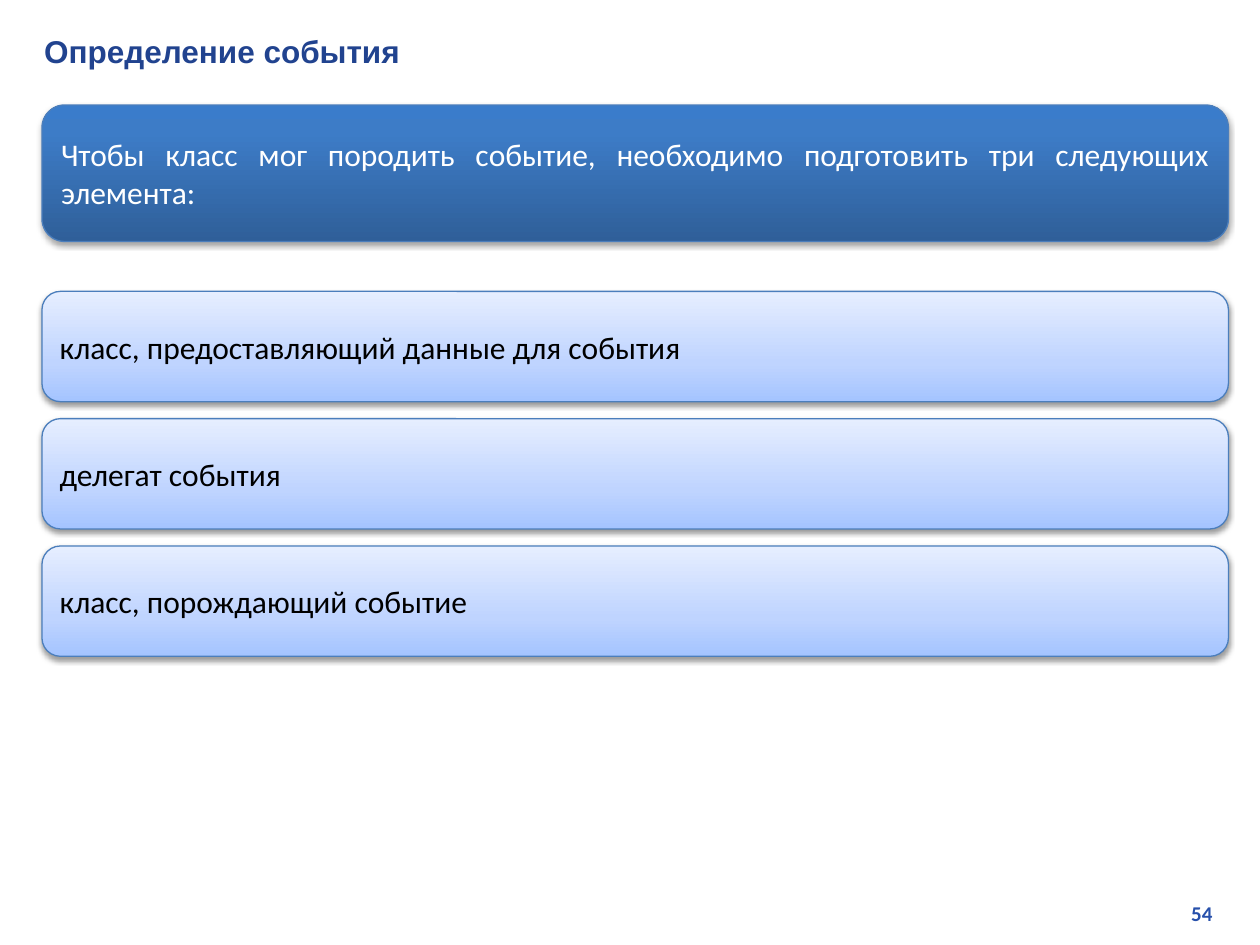
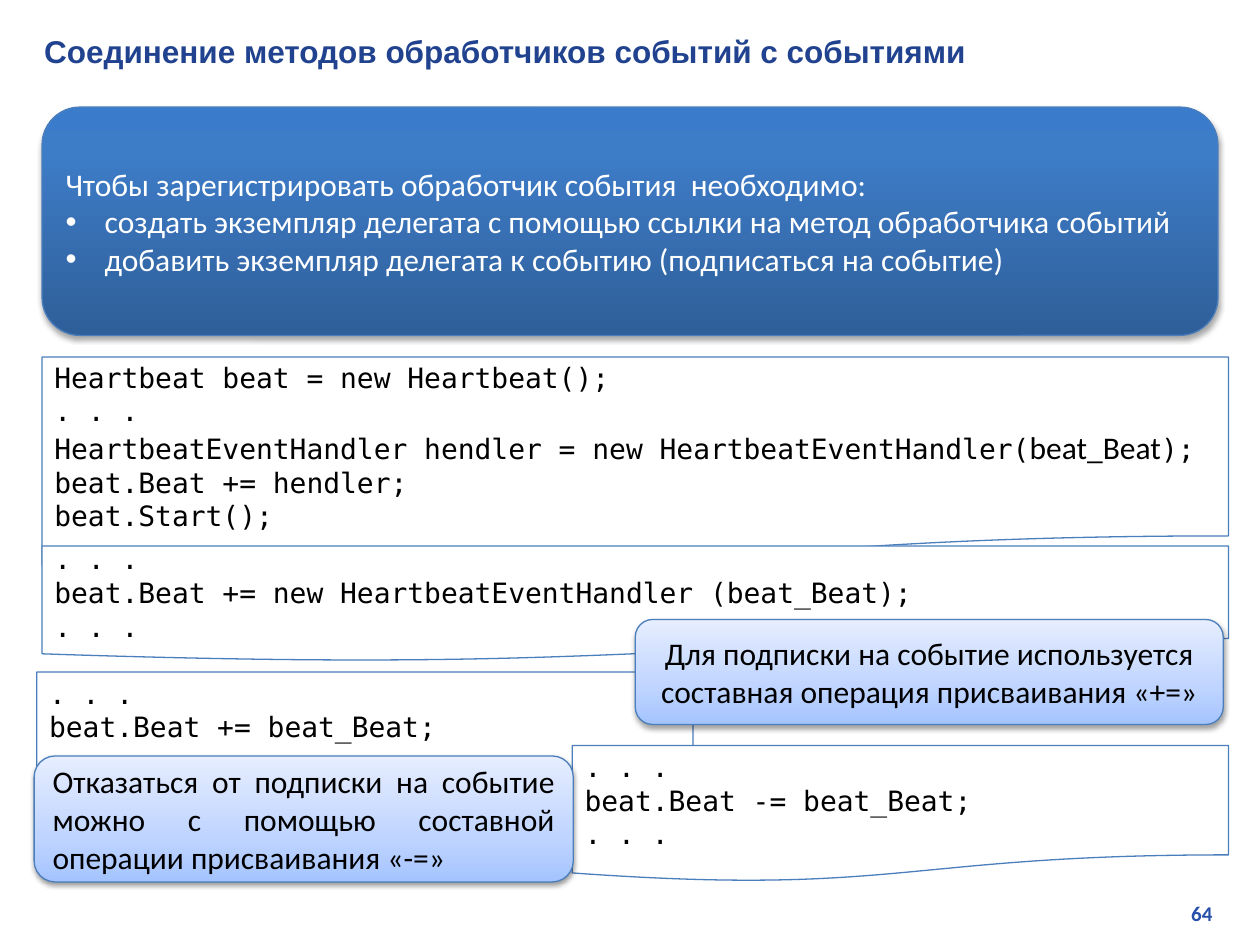
from lxml.etree import SubElement
from pptx import Presentation
from pptx.dml.color import RGBColor
from pptx.enum.shapes import MSO_SHAPE
from pptx.enum.text import MSO_ANCHOR, MSO_AUTO_SIZE, PP_ALIGN
from pptx.oxml import parse_xml
from pptx.oxml.ns import nsdecls, qn
from pptx.util import Inches, Pt

# Colours and fonts
TITLE_BLUE = RGBColor(0x21, 0x43, 0x8F)
NUMBER_BLUE = RGBColor(0x27, 0x50, 0xAB)
LINE_BLUE = RGBColor(0x4B, 0x7E, 0xBC)
WHITE = RGBColor(0xFF, 0xFF, 0xFF)
BLACK = RGBColor(0, 0, 0)
DARK_STOPS = [(0, RGBColor(0x2F, 0x5F, 0x99)), (80, RGBColor(0x3D, 0x7C, 0xC7)),
              (100, RGBColor(0x3A, 0x7C, 0xCB))]
LIGHT_STOPS = [(0, RGBColor(0xA4, 0xC4, 0xFF)), (35, RGBColor(0xBF, 0xD4, 0xFF)),
               (100, RGBColor(0xE6, 0xEE, 0xFF))]
TEXT_FONT, CODE_FONT, TITLE_FONT = "Calibri", "DejaVu Sans Mono", "Arial"

# Looks: shape, gradient, shadow (opacity %, distance pt), font, size, colour
DARK = (MSO_SHAPE.ROUNDED_RECTANGLE, DARK_STOPS, (35, 1.8), TEXT_FONT, 18, WHITE)
LIGHT = (MSO_SHAPE.ROUNDED_RECTANGLE, LIGHT_STOPS, (38, 1.6), TEXT_FONT, 18, BLACK)
CODE = (MSO_SHAPE.FLOWCHART_DOCUMENT, None, None, CODE_FONT, 16, BLACK)

prs = Presentation()
prs.slide_width, prs.slide_height = Inches(10), Inches(7.5)
CELL = prs.slide_width / 240  # grid of 240 columns by 180 rows
LEFT, WIDE = 8, 226


def grid(*cells):
    return [round(c * CELL) for c in cells]


def add_box(slide, look, cells, lines, align=PP_ALIGN.JUSTIFY):
    """Pieces of a line between bars are set in the text font at 18 pt."""
    kind, stops, shadow, font, size, color = look
    sp = slide.shapes.add_shape(kind, *grid(*cells))
    sp.line.color.rgb, sp.line.width = LINE_BLUE, Pt(0.75)
    sp.shadow.inherit = False
    if stops:
        gs = "".join(f'<a:gs pos="{pos * 1000}"><a:srgbClr val="{rgb}"/></a:gs>'
                     for pos, rgb in stops)
        sp.fill.background()
        no_fill = sp._element.spPr.find(qn("a:noFill"))
        no_fill.getparent().replace(no_fill, parse_xml(
            f'<a:gradFill {nsdecls("a")} rotWithShape="1"><a:gsLst>{gs}</a:gsLst>'
            '<a:lin ang="16200000" scaled="0"/></a:gradFill>'))
        opacity, distance = shadow
        sp._element.spPr.find(qn("a:effectLst")).append(parse_xml(
            f'<a:outerShdw {nsdecls("a")} blurRad="{Pt(3.1)}" dist="{Pt(distance)}" '
            'dir="5400000" rotWithShape="0"><a:srgbClr val="000000">'
            f'<a:alpha val="{opacity * 1000}"/></a:srgbClr></a:outerShdw>'))
    else:
        sp.fill.solid()
        sp.fill.fore_color.rgb = WHITE
    tf = sp.text_frame
    tf.word_wrap, tf.vertical_anchor = True, MSO_ANCHOR.MIDDLE
    for i, line in enumerate(lines):
        p = tf.add_paragraph() if i else tf.paragraphs[0]
        p.alignment = align
        for j, piece in enumerate(line.split("|")):
            r = p.add_run()
            r.text = piece
            r.font.name = TEXT_FONT if j % 2 else font
            r.font.size = Pt(18 if j % 2 else size)
            r.font.color.rgb = color
    return sp


# Titles and page numbers
slides = []
for title, number in [("Определение события", "54"),
                      ("Соединение методов обработчиков событий с событиями", "64")]:
    s = prs.slides.add_slide(prs.slide_layouts[5])
    heading = s.shapes.title
    heading.left, heading.top, heading.width, heading.height = grid(6, 4.8, 229, 9.6)
    footer = s.shapes.add_textbox(*grid(182.4, 170.4, 50.9, 7.2))
    for sp, text, font, size, color, align in [
            (heading, title, TITLE_FONT, 18, TITLE_BLUE, PP_ALIGN.LEFT),
            (footer, number, TEXT_FONT, 12, NUMBER_BLUE, PP_ALIGN.RIGHT)]:
        tf = sp.text_frame
        tf.text = text
        tf.word_wrap, tf.auto_size = True, MSO_AUTO_SIZE.NONE
        p = tf.paragraphs[0]
        p.alignment = align
        f = p.runs[0].font
        f.name, f.size, f.bold, f.color.rgb = font, Pt(size), True, color
    heading.text_frame.vertical_anchor = MSO_ANCHOR.MIDDLE
    slides.append(s)
definition, subscription = slides

# Slide 1: what an event needs
add_box(definition, DARK, (LEFT, 20, WIDE, 26),
        ["Чтобы класс мог породить событие, необходимо подготовить три следующих элемента:"])
for i, element in enumerate(["класс, предоставляющий данные для события",
                             "делегат события",
                             "класс, порождающий событие"]):
    add_box(definition, LIGHT, (LEFT, 55.5 + 24.25 * i, WIDE, 21), [element])

# Slide 2: first code sample, then the steps above it
add_box(subscription, CODE, (LEFT, 68, WIDE, 42.5), [
    "Heartbeat beat = new Heartbeat();",
    ". . .",
    "HeartbeatEventHandler hendler = new HeartbeatEventHandler(|beat_Beat|);",
    "beat.Beat += hendler;",
    "beat.Start();"])
steps = add_box(subscription, DARK, (LEFT, 20.4, 224, 43.5), [
    "Чтобы зарегистрировать обработчик события  необходимо:",
    "создать экземпляр делегата с помощью ссылки на метод обработчика событий",
    "добавить экземпляр делегата к событию (подписаться на событие)"])
for p in steps.text_frame.paragraphs[1:]:
    pPr = p._p.get_or_add_pPr()
    pPr.set("marL", str(Inches(0.31)))
    pPr.set("indent", str(-Inches(0.31)))
    SubElement(pPr, qn("a:buFont")).set("typeface", "Arial")
    SubElement(pPr, qn("a:buChar")).set("char", "•")

# Shorter code samples
for cells, statement in [
        ((LEFT, 104, WIDE, 22), "beat.Beat += new HeartbeatEventHandler (beat_Beat);"),
        ((7, 128, 125, 26), "beat.Beat += beat_Beat;"),
        ((109, 142, 125, 26), "beat.Beat -= beat_Beat;")]:
    add_box(subscription, CODE, cells, [". . .", statement, ". . ."])

# Callouts
add_box(subscription, LIGHT, (6.5, 144, 102.7, 24),
        ["Отказаться от подписки на событие можно с помощью составной операции "
         "присваивания «-=»"])
add_box(subscription, LIGHT, (121, 118, 112, 20),
        ["Для подписки на событие используется составная операция присваивания «+=»"],
        PP_ALIGN.CENTER)

prs.save("out.pptx")
